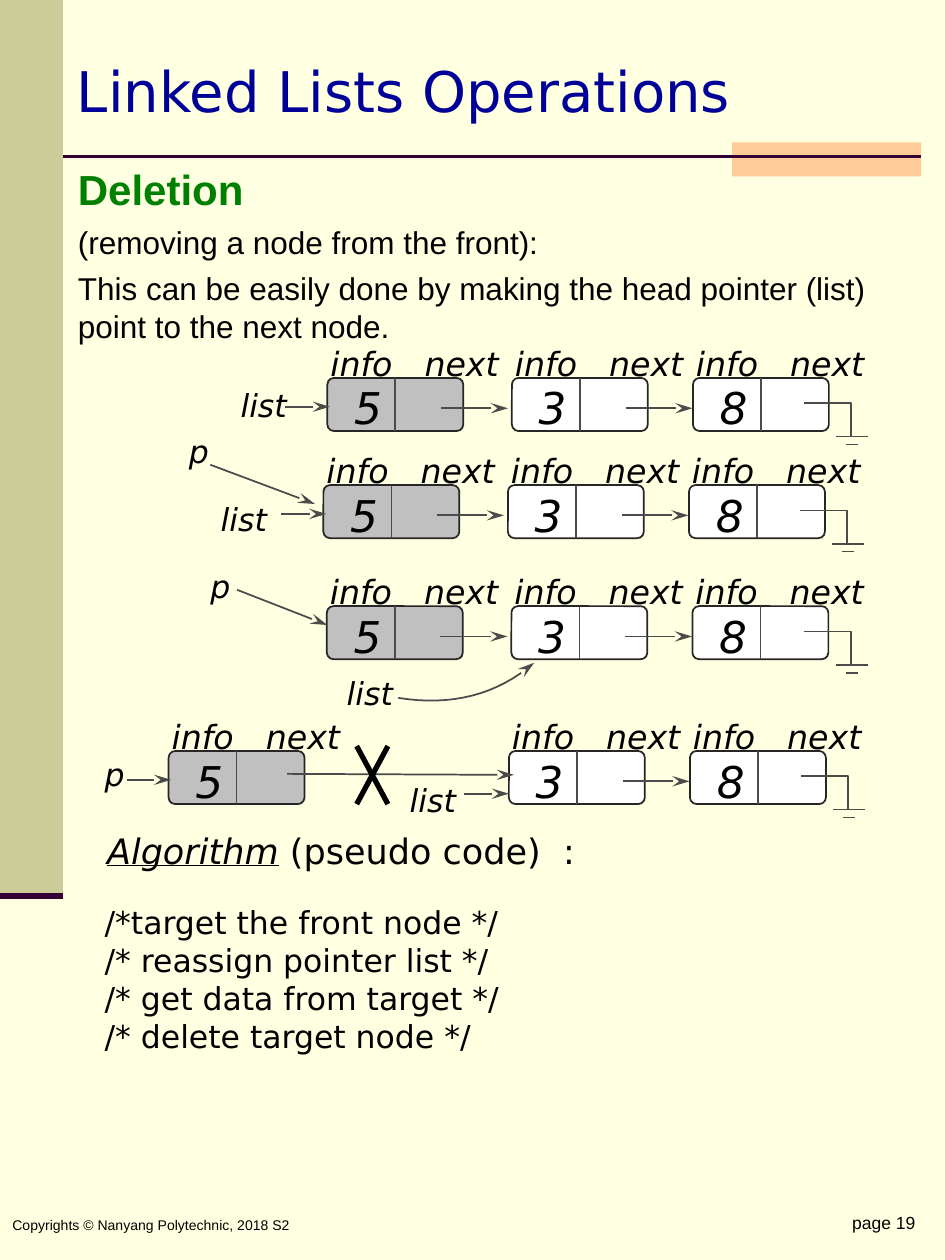
from lxml import etree
from pptx import Presentation
from pptx.dml.color import RGBColor
from pptx.enum.shapes import MSO_CONNECTOR, MSO_SHAPE
from pptx.enum.text import MSO_ANCHOR, MSO_AUTO_SIZE, PP_ALIGN
from pptx.oxml.ns import qn
from pptx.util import Cm, Pt

RECT, ROUND = MSO_SHAPE.RECTANGLE, MSO_SHAPE.ROUNDED_RECTANGLE
STRAIGHT = MSO_CONNECTOR.STRAIGHT
TOP, MID = MSO_ANCHOR.TOP, MSO_ANCHOR.MIDDLE
LEFT, RIGHT = PP_ALIGN.LEFT, PP_ALIGN.RIGHT
SANS, MONO = "Arial", "DejaVu Sans"

HUES = {
    "page": "FFFFE1", "band": "CCCC99", "accent": "FFCC99", "rule": "330033",
    "title": "000099", "head": "008000", "text": "000000", "gray": "C0C0C0",
    "white": "FFFFFF", "edge": "262626", "arrow": "4B4B4B",
}

# Content: lengths are in centimetres
TITLE = "Linked Lists Operations"
BODY = [
    ("Deletion", dict(size=24, bold=True, hue="head")),
    ("(removing a node from the front):", dict(size=18)),
    ("This can be easily done by making the head pointer (list) "
     "point to the next node.", dict(size=18)),
]
CODE = [
    "/*target the front node */",
    "/* reassign pointer list */",
    "/* get data from target */",
    "/* delete target node */",
]
NODES = [("5", "gray", 0), ("3", "white", 3.72), ("8", "white", 7.37)]
# Each stage: left and top of the chain, shift of the front node,
# pointer names with their places, pointer arrows
STAGES = [
    (6.60, 7.62, 0, [("list", 4.85, 7.85)], [(5.74, 8.20, 6.65, 8.20)]),
    (6.52, 9.78, 0, [("list", 4.45, 10.16), ("p", 3.81, 8.79)],
     [(5.66, 10.36, 6.58, 10.36), (4.24, 9.37, 6.35, 10.16)]),
    (6.59, 12.22, 0, [("list", 6.99, 13.67), ("p", 4.24, 11.51)],
     [(4.78, 11.89, 6.60, 12.60)]),
    (6.54, 15.14, -3.14, [("list", 8.26, 15.82), ("p", 2.11, 15.29)],
     [(2.57, 15.72, 3.45, 15.72), (9.35, 16, 10.26, 16),
      (5.79, 15.60, 10.36, 15.62)]),
]
BEND = [(8.03, 14.07), (9.65, 14.33), (10.77, 13.36)]
CROSS = (7.19, 15.04, 7.82, 16.21)
WIDE, HIGH = 2.74, 1.07

deck = Presentation()
deck.slide_width, deck.slide_height = Cm(19.05), Cm(25.4)
slide = deck.slides.add_slide(deck.slide_layouts[1])
shapes = slide.shapes


def color(name):
    return RGBColor.from_string(HUES[name])


def write(par, text, font=MONO, size=18, hue="text", bold=False,
          slant=False, under=False):
    run = par.add_run()
    run.text = text
    face = run.font
    face.name, face.size, face.color.rgb = font, Pt(size), color(hue)
    face.bold, face.italic, face.underline = bold, slant, under


def setup(frame, inset=0, anchor=MID):
    frame.word_wrap = True
    frame.auto_size = MSO_AUTO_SIZE.NONE
    frame.vertical_anchor = anchor
    frame.margin_left = frame.margin_right = Cm(inset)
    frame.margin_top = frame.margin_bottom = Cm(inset / 2)
    return frame


def place(shape, x, y, w, h):
    shape.left, shape.top, shape.width, shape.height = map(Cm, (x, y, w, h))


def box(x, y, w, h, inset=0, anchor=MID):
    item = shapes.add_textbox(Cm(x), Cm(y), Cm(w), Cm(h))
    return setup(item.text_frame, inset, anchor)


def label(text, x, y, w, h=0.61, **fmt):
    par = box(x, y, w, h).paragraphs[0]
    write(par, text, slant=True, **fmt)
    return par


def block(kind, x, y, w, h, fill, edge=None):
    item = shapes.add_shape(kind, Cm(x), Cm(y), Cm(w), Cm(h))
    item.shadow.inherit = False
    item.fill.solid()
    item.fill.fore_color.rgb = color(fill)
    if edge:
        item.line.color.rgb, item.line.width = color(edge), Pt(1)
    else:
        item.line.fill.background()
    return item


def stroke(item, hue, width, tip):
    item.line.color.rgb, item.line.width = color(hue), Pt(width)
    if tip:
        etree.SubElement(item.line._get_or_add_ln(), qn("a:tailEnd"),
                         type="stealth", w="med", len="lg")


def line(x1, y1, x2, y2, hue="arrow", width=1, tip=False):
    item = shapes.add_connector(STRAIGHT, Cm(x1), Cm(y1), Cm(x2), Cm(y2))
    stroke(item, hue, width, tip)
    etree.SubElement(item._element.spPr, qn("a:effectLst"))


def trace(points, tip=False):
    spots = [(Cm(x), Cm(y)) for x, y in points]
    form = shapes.build_freeform(*spots[0], scale=1.0)
    form.add_line_segments(spots[1:], close=False)
    item = form.convert_to_shape()
    item.shadow.inherit = False
    item.fill.background()
    stroke(item, "arrow", 1, tip)


def ground(x, y):
    end, base = x + 0.95, y + 0.67
    trace([(x, y), (end, y), (end, base)])
    line(end - 0.3, base, end + 0.34, base)
    line(end - 0.1, base + 0.16, end + 0.14, base + 0.16)


def node(value, fill, x, y):
    item = block(ROUND, x, y, WIDE, HIGH, fill, "edge")
    item.adjustments[0] = 0.125
    line(x + WIDE / 2, y, x + WIDE / 2, y + HIGH)
    par = label("info\tnext", x + 0.06, y - 0.6, 3.94, 0.6, size=19)
    tabs = etree.SubElement(par._p.get_or_add_pPr(), qn("a:tabLst"))
    etree.SubElement(tabs, qn("a:tab"), pos=str(Cm(1.9)), algn="l")
    label(value, x + 0.54, y + 0.29, 0.48, size=25)


# Page decoration
slide.background.fill.solid()
slide.background.fill.fore_color.rgb = color("page")
block(RECT, 0, 0, 1.27, 18.06, "band")
block(RECT, 14.76, 2.87, 3.81, 0.69, "accent")
line(1.27, 3.15, 18.57, 3.15, "rule", 1.5)
line(0, 18.06, 1.27, 18.06, "rule", 3.5)

# Title and body
title, body = shapes.title, slide.placeholders[1]
place(title, 1.3, 0.89, 16.79, 2.18)
frame = setup(title.text_frame, 0.25, TOP)
frame.margin_top = Cm(0.25)
frame.paragraphs[0].alignment = LEFT
write(frame.paragraphs[0], TITLE, size=32, hue="title")

place(body, 1.32, 3.18, 16.76, 20.52)
frame = setup(body.text_frame, 0.25, TOP)
for i, (text, fmt) in enumerate(BODY):
    par = frame.add_paragraph() if i else frame.paragraphs[0]
    par.space_before = Pt(4.8 if i else 0)
    props = par._p.get_or_add_pPr()
    props.set("marL", "0")
    props.set("indent", "0")
    etree.SubElement(props, qn("a:buNone"))
    write(par, text, font=SANS, **fmt)

# List stages
for left, top, shift, names, arrows in STAGES:
    for i, (value, fill, step) in enumerate(NODES):
        x = left + step + (0 if i else shift)
        node(value, fill, x, top)
        if i == 1 or (i == 0 and not shift):
            line(x + 2.29, top + 0.61, x + 3.64, top + 0.61, tip=True)
    ground(x + 2.24, top + 0.51)
    for name, x, y in names:
        label(name, x, y, 1.02 if name == "list" else 0.48)
    for arrow in arrows:
        line(*arrow, tip=True)

# Curved pointer, sampled from a quadratic curve
ticks = [i / 16 for i in range(17)]
trace([[(1 - t) ** 2 * a + 2 * t * (1 - t) * b + t * t * c
        for a, b, c in zip(*BEND)] for t in ticks], tip=True)

# Cross on the removed link
x1, y1, x2, y2 = CROSS
line(x1, y1, x2, y2, "text", 3)
line(x2, y1, x1, y2, "text", 3)

# Algorithm
par = label("Algorithm", 2.16, 16.71, 10.54, 0.86, size=20, under=True)
write(par, " (pseudo code)  :", size=20)
frame = box(2.11, 17.78, 15.88, 3.91)
for i, text in enumerate(CODE):
    write(frame.add_paragraph() if i else frame.paragraphs[0], text)

# Footer
par = box(0, 23.98, 12.4, 1.42, 0.25).paragraphs[0]
write(par, "Copyrights © Nanyang Polytechnic, 2018 S2", font=SANS, size=8)
par = box(13.34, 24.31, 5.36, 0.76, 0.25, TOP).paragraphs[0]
par.alignment = RIGHT
write(par, "page 19", font=SANS, size=10)

deck.save("out.pptx")
